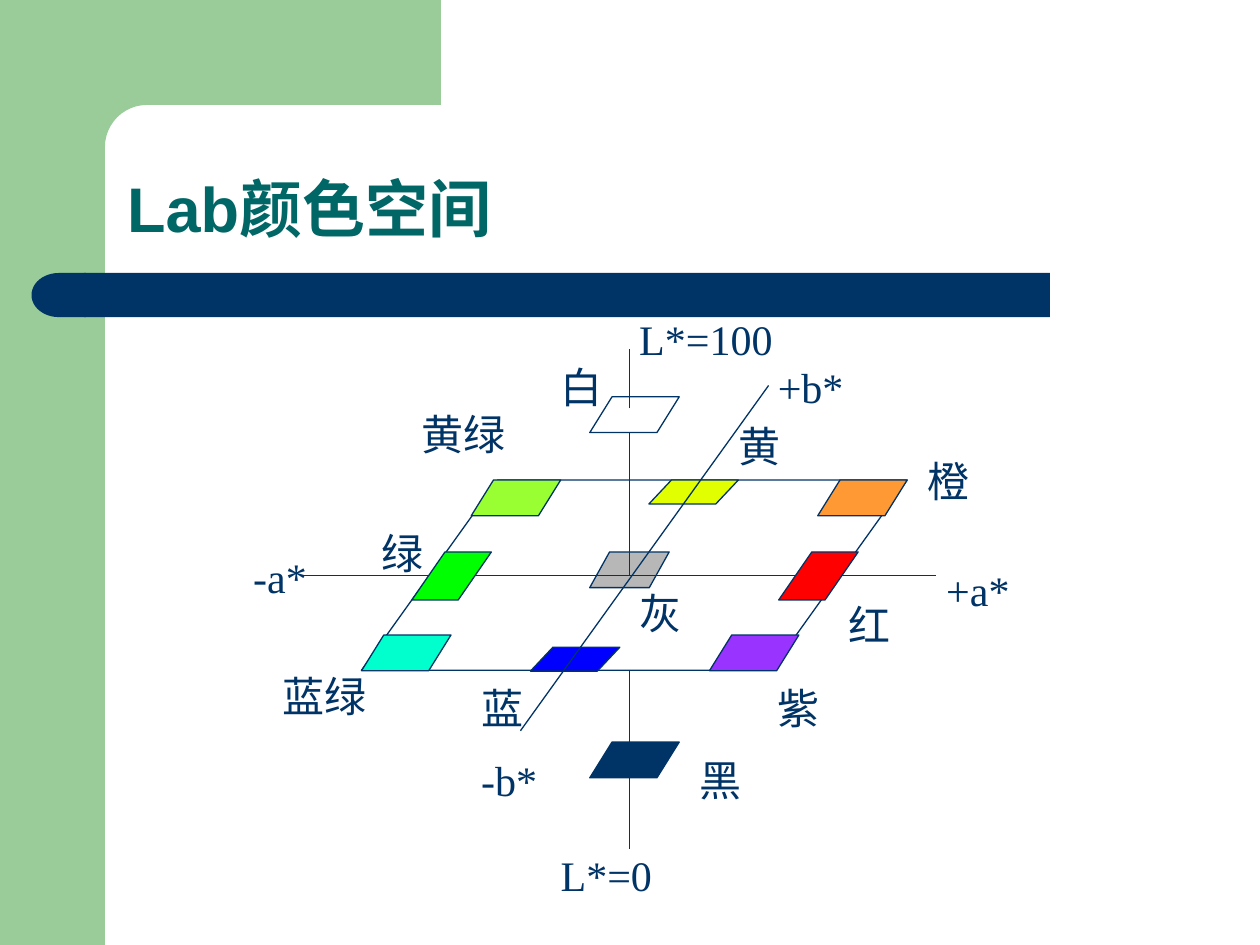
from math import cos, pi, sin

from lxml import etree
from pptx import Presentation
from pptx.dml.color import RGBColor
from pptx.enum import shapes, text
from pptx.util import Pt

NAVY = RGBColor(0x00, 0x33, 0x66)
SAGE = RGBColor(0x99, 0xCC, 0x99)
TEAL = RGBColor(0x00, 0x66, 0x66)
GRAY = RGBColor(0xB7, 0xB7, 0xB7)
CYAN = RGBColor(0x00, 0xFF, 0xCC)
RED = RGBColor(0xFF, 0x00, 0x00)
GREEN = RGBColor(0x00, 0xFF, 0x00)
LIME = RGBColor(0x99, 0xFF, 0x33)
ORANGE = RGBColor(0xFF, 0x99, 0x33)
PURPLE = RGBColor(0x99, 0x33, 0xFF)
BLUE = RGBColor(0x00, 0x00, 0xFF)
YELLOW = RGBColor(0xE1, 0xFF, 0x00)
WHITE = RGBColor(0xFF, 0xFF, 0xFF)

FORM = shapes.MSO_SHAPE
TITLE = "Lab颜色空间"
TITLE_FONT = {"name": "Arial", "size": Pt(36), "bold": True}
LABEL_FONT = {"name": "Times New Roman", "size": Pt(24)}

MID = 359.7
TOP, ROW, LOW = 274.3, 315.4, 362.9
WIDE = (51.1, 20.4, 0.623)
FLAT = (51.1, 13.7, 0.94)
TALL = (45.4, 27.4, 0.69)
SMALL = (45.4, 20.4, 0.556)
PLANE = (311.8, 108.7, 0.716)

PARTS = [
    ("tile", (206.6, TOP), PLANE, None),
    ("tile", (337, ROW), SMALL, GRAY),
    ("axis", (MID, 247.7), (MID, 329)),
    ("axis", (172.8, 329), (535, 329)),
    ("tile", (206.6, LOW), WIDE, CYAN),
    ("tile", (445, ROW), TALL, RED),
    ("tile", (235.4, ROW), TALL, GREEN),
    ("tile", (269.3, TOP), WIDE, LIME),
    ("tile", (467.3, TOP), WIDE, ORANGE),
    ("tile", (405.4, LOW), WIDE, PURPLE),
    ("tile", (303.1, 369.8), FLAT, BLUE),
    ("tile", (370.8, TOP), FLAT, YELLOW),
    ("axis", (297.4, 417.6), (439.2, 220.3)),
    ("axis", (MID, 383.3), (MID, 424.1)),
    ("tile", (337, 424.1), WIDE, NAVY),
    ("tile", (337, 226.8), WIDE, WHITE),
    ("axis", (MID, 233.3), (MID, 199.4)),
    ("axis", (MID, 437.8), (MID, 485.3)),
]

LABELS = [
    ("红", 484.6, 342.7, 25), ("绿", 218.2, 301.7, 25),
    ("黄", 421.9, 240.5, 25), ("蓝", 275, 390.2, 25),
    ("黄绿", 240.8, 233.3, 49), ("橙", 529.9, 260.6, 25),
    ("紫", 444.5, 390.2, 25), ("蓝绿", 161.3, 383, 49),
    ("黑", 399.6, 431.3, 25), ("白", 320.4, 206.6, 25),
    ("+a*", 540.7, 322.6, 40), ("-a*", 144.7, 315.4, 34),
    ("-b*", 275, 431.3, 35), ("+b*", 444.5, 206.6, 41),
    ("L*=100", 365.3, 179.3, 80), ("L*=0", 320.4, 485.3, 56),
    ("灰", 365.3, 335.5, 25),
]


def style(font, values, color):
    for key, value in values.items():
        setattr(font, key, value)
    font.color.rgb = color


def paint(shape, fill, line=None):
    shape.shadow.inherit = False
    if fill is None:
        shape.fill.background()
    else:
        shape.fill.solid()
        shape.fill.fore_color.rgb = fill
    if line is None:
        shape.line.fill.background()
    else:
        shape.line.color.rgb = line
        shape.line.width = Pt(0.75)


def add_form(slide, kind, box, fill, line=None):
    shape = slide.shapes.add_shape(kind, *map(Pt, box))
    paint(shape, fill, line)
    return shape


def add_tile(slide, spot, size, fill):
    wide, high, slant = size
    shape = add_form(slide, FORM.PARALLELOGRAM, (*spot, wide, high), fill, NAVY)
    shape.adjustments[0] = slant


def add_axis(slide, start, end):
    line = slide.shapes.add_connector(shapes.MSO_CONNECTOR.STRAIGHT, *map(Pt, start + end))
    line.line.color.rgb = NAVY
    line.line.width = Pt(0.75)
    props = line._element.spPr
    etree.SubElement(props, "{http://schemas.openxmlformats.org/drawingml/2006/main}effectLst")


def add_frame(slide):
    add_form(slide, FORM.RECTANGLE, (0, 0, 60, 540), SAGE)
    turns = [pi / 2 * step / 12 for step in range(13)]
    arc = [(84 - 24 * sin(turn), 84 - 24 * cos(turn)) for turn in turns]
    points = [(252, 60), *arc, (60, 92), (36, 92), (36, 0)]
    path = slide.shapes.build_freeform(Pt(252), 0)
    path.add_line_segments([(Pt(x), Pt(y)) for x, y in points], close=True)
    paint(path.convert_to_shape(), SAGE)
    add_form(slide, FORM.RECTANGLE, (48, 156, 552, 25.2), NAVY)
    cap = add_form(slide, FORM.FLOWCHART_DELAY, (18, 156, 31, 25.2), NAVY)
    cap.rotation = 180


def add_title(slide):
    title = slide.shapes.title
    spots = {"left": 65.5, "top": 65.5, "width": 612.7, "height": 78.5}
    for key, value in spots.items():
        setattr(title, key, Pt(value))
    frame = title.text_frame
    frame.text = TITLE
    frame.vertical_anchor = text.MSO_ANCHOR.BOTTOM
    para = frame.paragraphs[0]
    para.alignment = text.PP_ALIGN.LEFT
    para.line_spacing = 0.9
    style(para.runs[0].font, TITLE_FONT, TEAL)


def add_label(slide, words, left, top, width):
    box = slide.shapes.add_textbox(Pt(left), Pt(top), Pt(width), Pt(28.8))
    frame = box.text_frame
    for side in ("left", "top", "right", "bottom"):
        setattr(frame, "margin_" + side, 0)
    frame.word_wrap = True
    frame.auto_size = text.MSO_AUTO_SIZE.NONE
    frame.text = words
    style(frame.paragraphs[0].runs[0].font, LABEL_FONT, NAVY)


def main():
    deck = Presentation()
    deck.slide_width, deck.slide_height = Pt(720), Pt(540)
    slide = deck.slides.add_slide(deck.slide_layouts[5])
    add_frame(slide)
    add_title(slide)
    makers = {"tile": add_tile, "axis": add_axis}
    for kind, *part in PARTS:
        makers[kind](slide, *part)
    for label in LABELS:
        add_label(slide, *label)
    deck.save("out.pptx")


if __name__ == "__main__":
    main()
